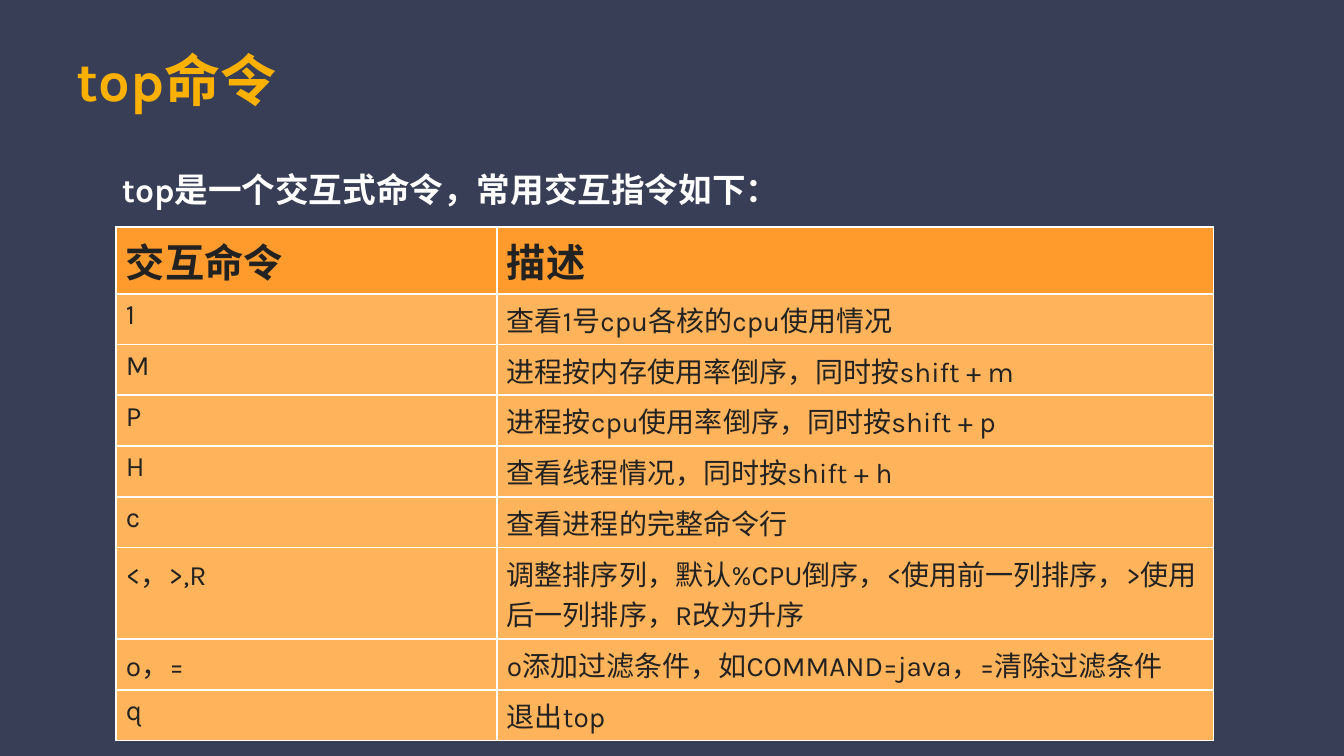
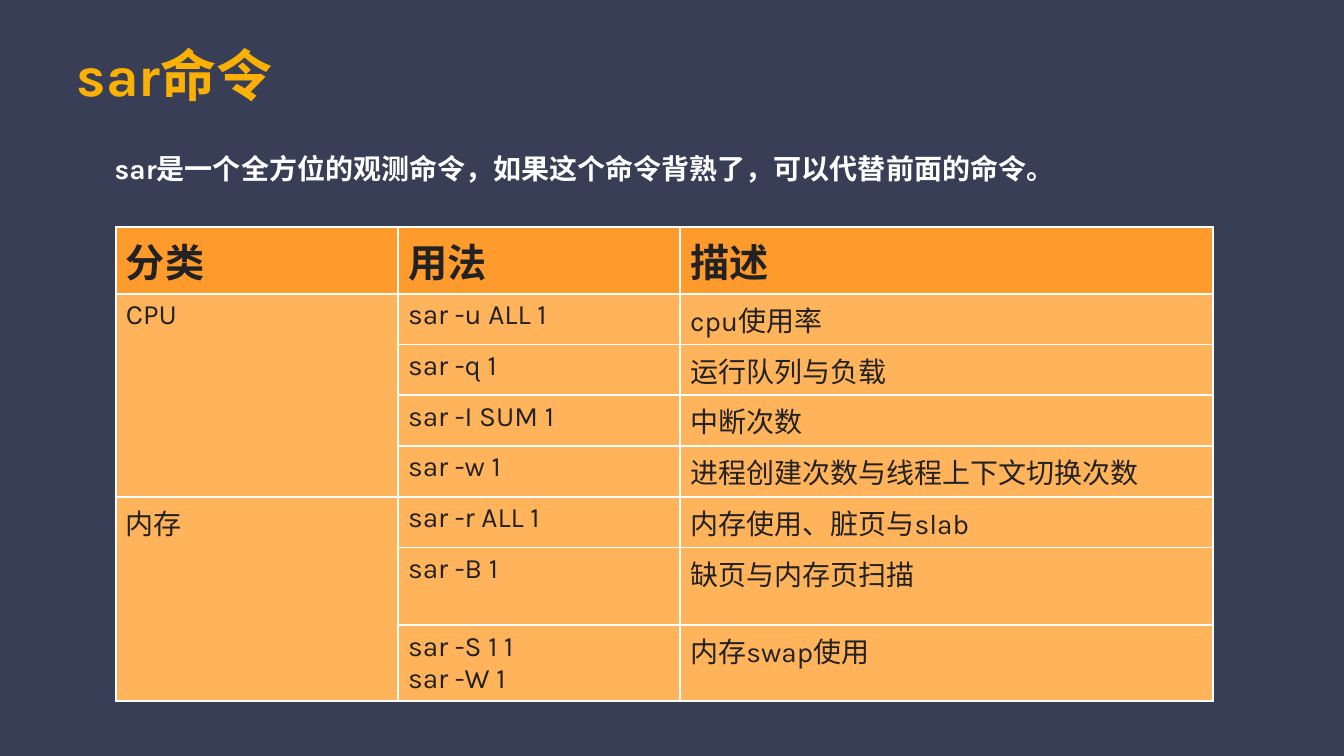
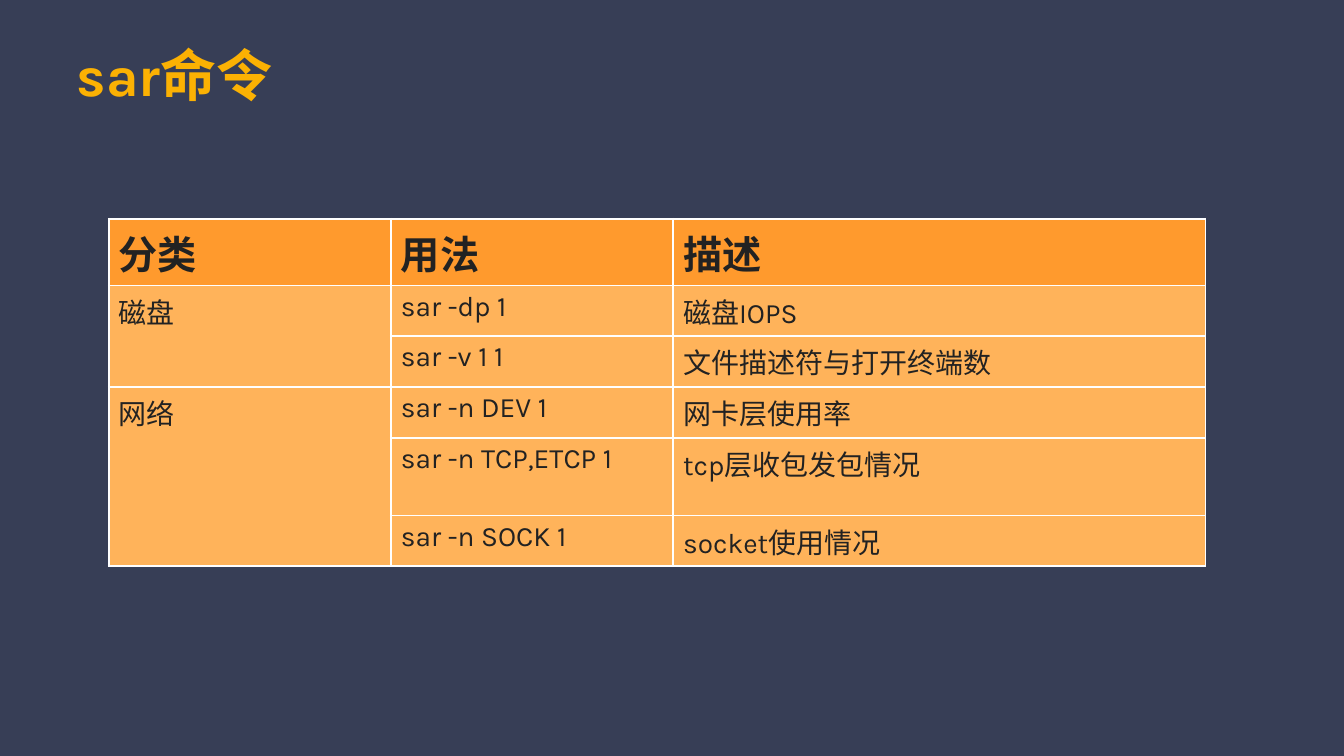
from dataclasses import dataclass
from typing import Optional

from lxml import etree
from pptx import Presentation
from pptx.dml.color import RGBColor
from pptx.enum.text import MSO_ANCHOR, MSO_AUTO_SIZE, PP_ALIGN
from pptx.oxml.ns import qn
from pptx.util import Cm, Pt

MIDDLE = MSO_ANCHOR.MIDDLE
NO_AUTOFIT = MSO_AUTO_SIZE.NONE
LEFT = PP_ALIGN.LEFT

COLORS = {
    "background": "373E56",
    "title": "FBB103",
    "lead": "FFFFFF",
    "dark": "222222",
    "header": "FF9A2D",
    "body": "FFB35A",
    "border": "FFFFFF",
}
FONT = "Karla"
TITLE_LAYOUT, LEAD_LAYOUT = 5, 1
HEADER_HEIGHT, ROW_HEIGHT, TALL_HEIGHT = 1.45, 1.17, 1.96


@dataclass(frozen=True)
class Box:
    left: float
    top: float
    width: float
    height: float


@dataclass(frozen=True)
class Lead:
    text: str
    box: Box
    size: float
    line_spacing: float = 1.0


@dataclass(frozen=True)
class Grid:
    left: float
    top: float
    widths: tuple[float, ...]
    rows: list[tuple[Optional[str], ...]]  # None continues the cell above
    tall_row: int


@dataclass(frozen=True)
class Page:
    title: str
    title_box: Box
    outline: float
    grid: Grid
    lead: Optional[Lead] = None


SAR_TITLE = Box(1.73, 0.13, 29.57, 3.48)
SAR_WIDTHS = (7.11, 7.11, 13.42)
SAR_HEADER = ("分类", "用法", "描述")

PAGES = [
    Page(
        "top命令", Box(1.73, 0.74, 29.57, 2.51), 1.5,
        Grid(2.92, 5.72, (9.6, 18.06), [
            ("交互命令", "描述"),
            ("1", "查看1号cpu各核的cpu使用情况"),
            ("M", "进程按内存使用率倒序，同时按shift + m"),
            ("P", "进程按cpu使用率倒序，同时按shift + p"),
            ("H", "查看线程情况，同时按shift + h"),
            ("c", "查看进程的完整命令行"),
            ("<，>,R", "调整排序列，默认%CPU倒序，<使用前一列排序，>使用后一列排序，R改为升序"),
            ("o，=", "o添加过滤条件，如COMMAND=java，=清除过滤条件"),
            ("q", "退出top"),
        ], tall_row=6),
        Lead("top是一个交互式命令，常用交互指令如下：", Box(2.92, 4.11, 17.42, 1.3), 24),
    ),
    Page(
        "sar命令", SAR_TITLE, 2.5,
        Grid(2.92, 5.72, SAR_WIDTHS, [
            SAR_HEADER,
            ("CPU", "sar -u ALL 1", "cpu使用率"),
            (None, "sar -q 1", "运行队列与负载"),
            (None, "sar -I SUM 1", "中断次数"),
            (None, "sar -w 1", "进程创建次数与线程上下文切换次数"),
            ("内存", "sar -r ALL 1", "内存使用、脏页与slab"),
            (None, "sar -B 1", "缺页与内存页扫描"),
            (None, "sar -S 1 1\nsar -W 1", "内存swap使用"),
        ], tall_row=6),
        Lead("sar是一个全方位的观测命令，如果这个命令背熟了，可以代替前面的命令。",
             Box(2.74, 3.12, 24.99, 2.01), 20, 1.3),
    ),
    Page(
        "sar命令", SAR_TITLE, 2.5,
        Grid(2.74, 5.51, SAR_WIDTHS, [
            SAR_HEADER,
            ("磁盘", "sar -dp 1", "磁盘IOPS"),
            (None, "sar -v 1 1", "文件描述符与打开终端数"),
            ("网络", "sar -n DEV 1", "网卡层使用率"),
            (None, "sar -n TCP,ETCP 1", "tcp层收包发包情况"),
            (None, "sar -n SOCK 1", "socket使用情况"),
        ], tall_row=4),
    ),
]


def set_all(target, values: dict) -> None:
    for name, value in values.items():
        setattr(target, name, value)


def style_text(tf, size: float, color: str, bold: bool) -> None:
    for p in tf.paragraphs:
        for r in p.runs:
            set_all(r.font, {"name": FONT, "size": Pt(size), "bold": bold})
            r.font.color.rgb = RGBColor.from_string(COLORS[color])


def make_line(tag: str, width: float, color: str):
    """Line element for cell borders and text outlines."""
    ln = etree.Element(qn(tag), w=str(int(Pt(width))))
    fill = etree.SubElement(ln, qn("a:solidFill"))
    etree.SubElement(fill, qn("a:srgbClr"), val=COLORS[color])
    return ln


def fill_placeholder(sp, text: str, box: Box, inset: float, size: float,
                     color: str, line_spacing: float = 1.0) -> None:
    set_all(sp, {"left": Cm(box.left), "top": Cm(box.top),
                 "width": Cm(box.width), "height": Cm(box.height)})
    tf = sp.text_frame
    tf.text = text
    set_all(tf, {"word_wrap": True, "auto_size": NO_AUTOFIT, "vertical_anchor": MIDDLE})
    set_all(tf, {f"margin_{side}": Cm(inset) for side in ("left", "top", "right", "bottom")})
    p = tf.paragraphs[0]
    set_all(p, {"alignment": LEFT, "space_before": Pt(0), "line_spacing": line_spacing})
    style_text(tf, size, color, True)


def add_title(s, page: Page) -> None:
    sp = s.shapes.title
    fill_placeholder(sp, page.title, page.title_box, 0.2, 40, "title")
    r = sp.text_frame.paragraphs[0].runs[0]
    r.font._element.insert(0, make_line("a:ln", page.outline, "dark"))


def add_lead(s, lead: Lead) -> None:
    sp = s.placeholders[1]
    fill_placeholder(sp, lead.text, lead.box, 0.15, lead.size, "lead", lead.line_spacing)
    pPr = sp.text_frame.paragraphs[0]._p.get_or_add_pPr()
    pPr.set("marL", "0")
    pPr.set("indent", "0")
    etree.SubElement(pPr, qn("a:buNone"))


def style_cell(cell, is_header: bool) -> None:
    cell.fill.solid()
    cell.fill.fore_color.rgb = RGBColor.from_string(COLORS["header" if is_header else "body"])
    style_text(cell.text_frame, 28 if is_header else 20, "dark", is_header)
    tcPr = cell._tc.get_or_add_tcPr()
    for i, side in enumerate("LRTB"):
        tcPr.insert(i, make_line(f"a:ln{side}", 1.5, "border"))


def add_grid(s, grid: Grid) -> None:
    heights = [HEADER_HEIGHT] + [ROW_HEIGHT] * (len(grid.rows) - 1)
    heights[grid.tall_row] = TALL_HEIGHT
    table = s.shapes.add_table(len(heights), len(grid.widths), Cm(grid.left), Cm(grid.top),
                               Cm(sum(grid.widths)), Cm(sum(heights))).table
    table.horz_banding = False
    for column, width in zip(table.columns, grid.widths):
        column.width = Cm(width)
    for i, (row, height) in enumerate(zip(grid.rows, heights)):
        table.rows[i].height = Cm(height)
        for j, text in enumerate(row):
            cell = table.cell(i, j)
            cell.text = text or ""
            style_cell(cell, i == 0)

    # Merge each category with the rows that continue it
    starts = [i for i, row in enumerate(grid.rows) if row[0] is not None]
    for start, end in zip(starts, starts[1:] + [len(grid.rows)]):
        if end - start > 1:
            table.cell(start, 0).merge(table.cell(end - 1, 0))


def main() -> None:
    prs = Presentation()
    set_all(prs, {"slide_width": Cm(33.87), "slide_height": Cm(19.05)})
    background = prs.slide_master.background.fill
    background.solid()
    background.fore_color.rgb = RGBColor.from_string(COLORS["background"])
    for page in PAGES:
        layout = LEAD_LAYOUT if page.lead else TITLE_LAYOUT
        s = prs.slides.add_slide(prs.slide_layouts[layout])
        add_title(s, page)
        if page.lead:
            add_lead(s, page.lead)
        add_grid(s, page.grid)
    prs.save("out.pptx")


if __name__ == "__main__":
    main()
